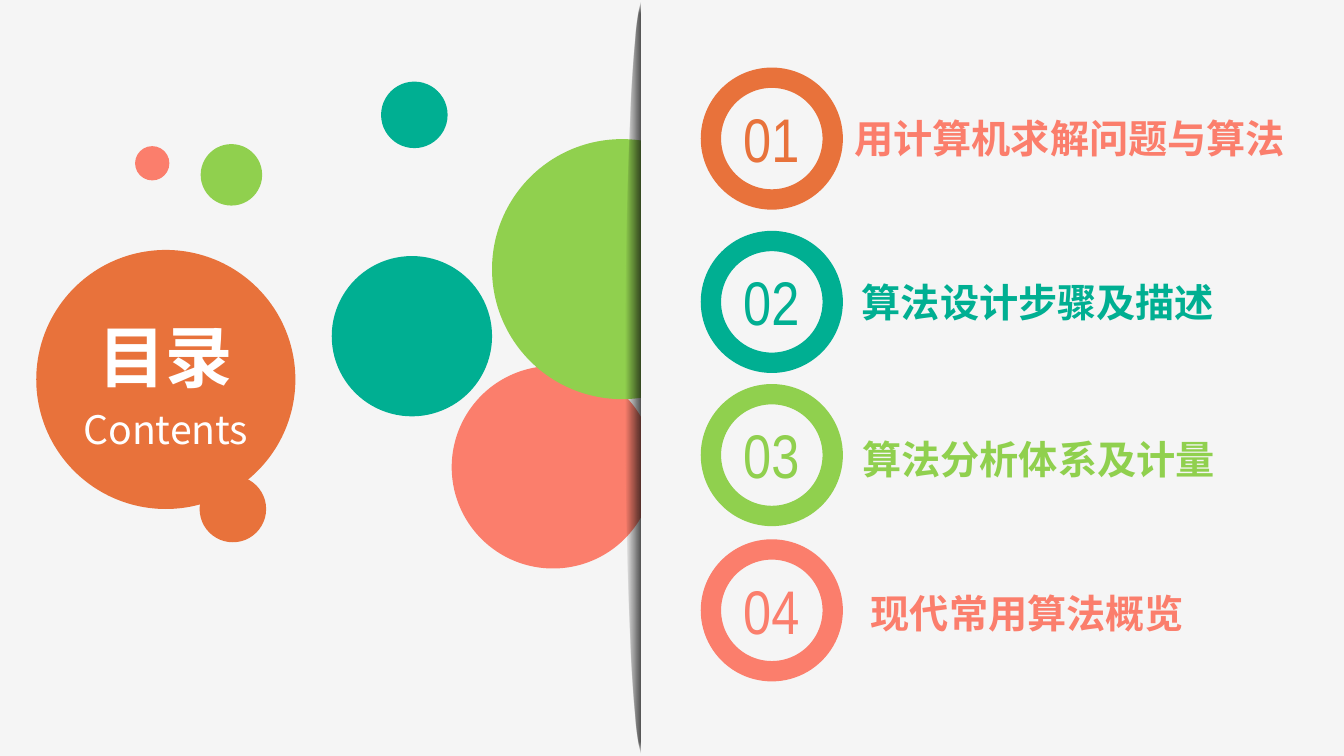
"""Build the contents slide with coloured circles and four numbered sections."""
from dataclasses import dataclass

from lxml import etree
from pptx import Presentation
from pptx.dml.color import RGBColor
from pptx.enum.shapes import MSO_SHAPE
from pptx.enum.text import MSO_ANCHOR, MSO_AUTO_SIZE, PP_ALIGN
from pptx.oxml import parse_xml
from pptx.oxml.ns import nsdecls, qn
from pptx.shapes.autoshape import Shape
from pptx.slide import Slide
from pptx.text.text import TextFrame
from pptx.util import Emu, Pt

OVAL, DONUT, RECTANGLE = MSO_SHAPE.OVAL, MSO_SHAPE.DONUT, MSO_SHAPE.RECTANGLE
MIDDLE, TOP = MSO_ANCHOR.MIDDLE, MSO_ANCHOR.TOP
CENTER, FIXED = PP_ALIGN.CENTER, MSO_AUTO_SIZE.NONE
EMU_PER_PX = 9144
SLIDE_WIDTH, SLIDE_HEIGHT = 1333, 750
TITLE_ONLY_LAYOUT = 5
RING_LEFT, RING_SIZE, RING_THICKNESS = 695, 141, 0.143
NUMBER_LEFT, NUMBER_DROP, NUMBER_SIZE = 723, 28, 84
LABEL_HEIGHT = 57


@dataclass(frozen=True)
class Theme:
    paper: str = "F5F5F5"
    white: str = "FFFFFF"
    fold: str = "0D0D0D"
    orange: str = "E8723B"
    teal: str = "00AF92"
    green: str = "90D04E"
    coral: str = "FB7E6C"
    text_font: str = "Noto Sans CJK SC"
    number_font: str = "Arial Narrow"
    title_size: int = 48
    label_size: int = 28
    number_size: int = 44


@dataclass(frozen=True)
class Box:
    left: int
    top: int
    width: int
    height: int

    def emu(self) -> tuple[Emu, Emu, Emu, Emu]:
        """Return the box in EMU."""
        return (px(self.left), px(self.top), px(self.width), px(self.height))


@dataclass(frozen=True)
class Circle:
    left: int
    top: int
    size: int
    color: str


@dataclass(frozen=True)
class Section:
    number: str
    label: str
    color: str
    ring_top: int
    label_left: int
    label_top: int
    label_width: int


THEME = Theme()
CIRCLES = (
    Circle(448, 363, 201, THEME.coral),
    Circle(36, 248, 257, THEME.orange),
    Circle(329, 254, 159, THEME.teal),
    Circle(488, 138, 258, THEME.green),
    Circle(198, 472, 66, THEME.orange),
    Circle(378, 81, 66, THEME.teal),
    Circle(199, 143, 61, THEME.green),
    Circle(134, 145, 34, THEME.coral),
)
SECTIONS = (
    Section("01", "用计算机求解问题与算法", THEME.orange, 67, 798, 108, 526),
    Section("02", "算法设计步骤及描述", THEME.teal, 229, 778, 271, 503),
    Section("03", "算法分析体系及计量", THEME.green, 381, 783, 427, 494),
    Section("04", "现代常用算法概览", THEME.coral, 535, 778, 579, 482),
)
TITLE_BOX = Box(36, 291, 257, 164)
FOLD_BOX = Box(621, 0, 34, SLIDE_HEIGHT)
PANEL_BOX = Box(636, 0, SLIDE_WIDTH - 636, SLIDE_HEIGHT)


def px(length: int) -> Emu:
    """Turn px into EMU."""
    return Emu(length * EMU_PER_PX)


def add_filled(slide: Slide, kind: MSO_SHAPE, box: Box, color: str) -> Shape:
    """Add a flat shape without outline."""
    shape = slide.shapes.add_shape(kind, *box.emu())
    shape.shadow.inherit = False
    shape.fill.solid()
    shape.fill.fore_color.rgb = RGBColor.from_string(color)
    shape.line.fill.background()
    return shape


def add_fold(slide: Slide) -> None:
    """Add the soft shadow along the fold."""
    shape = add_filled(slide, OVAL, FOLD_BOX, THEME.fold)
    stops = "".join(
        f'<a:gs pos="{position}"><a:srgbClr val="{THEME.fold}">'
        f'<a:alpha val="{alpha}"/></a:srgbClr></a:gs>'
        for position, alpha in ((0, 80000), (100000, 0))
    )
    gradient = parse_xml(
        f'<a:gradFill {nsdecls("a")} rotWithShape="1"><a:gsLst>{stops}</a:gsLst>'
        '<a:path path="shape"><a:fillToRect l="50000" t="50000" r="50000" b="50000"/>'
        "</a:path></a:gradFill>"
    )
    properties = shape.element.spPr
    properties.replace(properties.find(qn("a:solidFill")), gradient)


def format_frame(frame: TextFrame, anchor: MSO_ANCHOR, wrap: bool) -> None:
    """Set wrapping and alignment of a text frame."""
    frame.auto_size = FIXED
    frame.word_wrap = wrap
    frame.vertical_anchor = anchor
    frame.paragraphs[0].alignment = CENTER


def add_run(frame: TextFrame, text: str, font: str, size: int, color: str, bold: bool) -> None:
    """Append a run to the first paragraph."""
    run = frame.paragraphs[0].add_run()
    run.text = text
    run.font.name = font
    run.font.size = Pt(size)
    run.font.bold = bold
    run.font.color.rgb = RGBColor.from_string(color)
    latin = run.font._element.find(qn("a:latin"))
    east_asian = etree.Element(qn("a:ea"), typeface=font)
    latin.addnext(east_asian)


def add_title(slide: Slide) -> None:
    """Place the title in front of the circles."""
    title = slide.shapes.title
    title.left, title.top, title.width, title.height = TITLE_BOX.emu()
    slide.shapes.element.append(title.element)
    frame = title.text_frame
    format_frame(frame, MIDDLE, True)
    frame.paragraphs[0].line_spacing = 1.2
    add_run(frame, "目录", THEME.text_font, THEME.title_size, THEME.white, True)
    add_run(frame, "Contents", THEME.text_font, THEME.label_size, THEME.white, False)


def add_section(slide: Slide, section: Section) -> None:
    """Add a ring with its number and label."""
    ring_box = Box(RING_LEFT, section.ring_top, RING_SIZE, RING_SIZE)
    ring = add_filled(slide, DONUT, ring_box, section.color)
    ring.adjustments[0] = RING_THICKNESS
    number_box = Box(NUMBER_LEFT, section.ring_top + NUMBER_DROP, NUMBER_SIZE, NUMBER_SIZE)
    number = slide.shapes.add_textbox(*number_box.emu()).text_frame
    format_frame(number, TOP, False)
    add_run(number, section.number, THEME.number_font, THEME.number_size, section.color, False)
    label_box = Box(section.label_left, section.label_top, section.label_width, LABEL_HEIGHT)
    label = slide.shapes.add_textbox(*label_box.emu()).text_frame
    format_frame(label, MIDDLE, True)
    label_color = THEME.coral if section is SECTIONS[0] else section.color
    add_run(label, section.label, THEME.text_font, THEME.label_size, label_color, True)


def main() -> None:
    """Build and save the presentation."""
    presentation = Presentation()
    presentation.slide_width, presentation.slide_height = px(SLIDE_WIDTH), px(SLIDE_HEIGHT)
    slide = presentation.slides.add_slide(presentation.slide_layouts[TITLE_ONLY_LAYOUT])
    slide.background.fill.solid()
    slide.background.fill.fore_color.rgb = RGBColor.from_string(THEME.paper)
    for circle in CIRCLES:
        box = Box(circle.left, circle.top, circle.size, circle.size)
        add_filled(slide, OVAL, box, circle.color)
    add_fold(slide)
    add_filled(slide, RECTANGLE, PANEL_BOX, THEME.paper)
    add_title(slide)
    for section in SECTIONS:
        add_section(slide, section)
    presentation.save("out.pptx")


if __name__ == "__main__":
    main()
